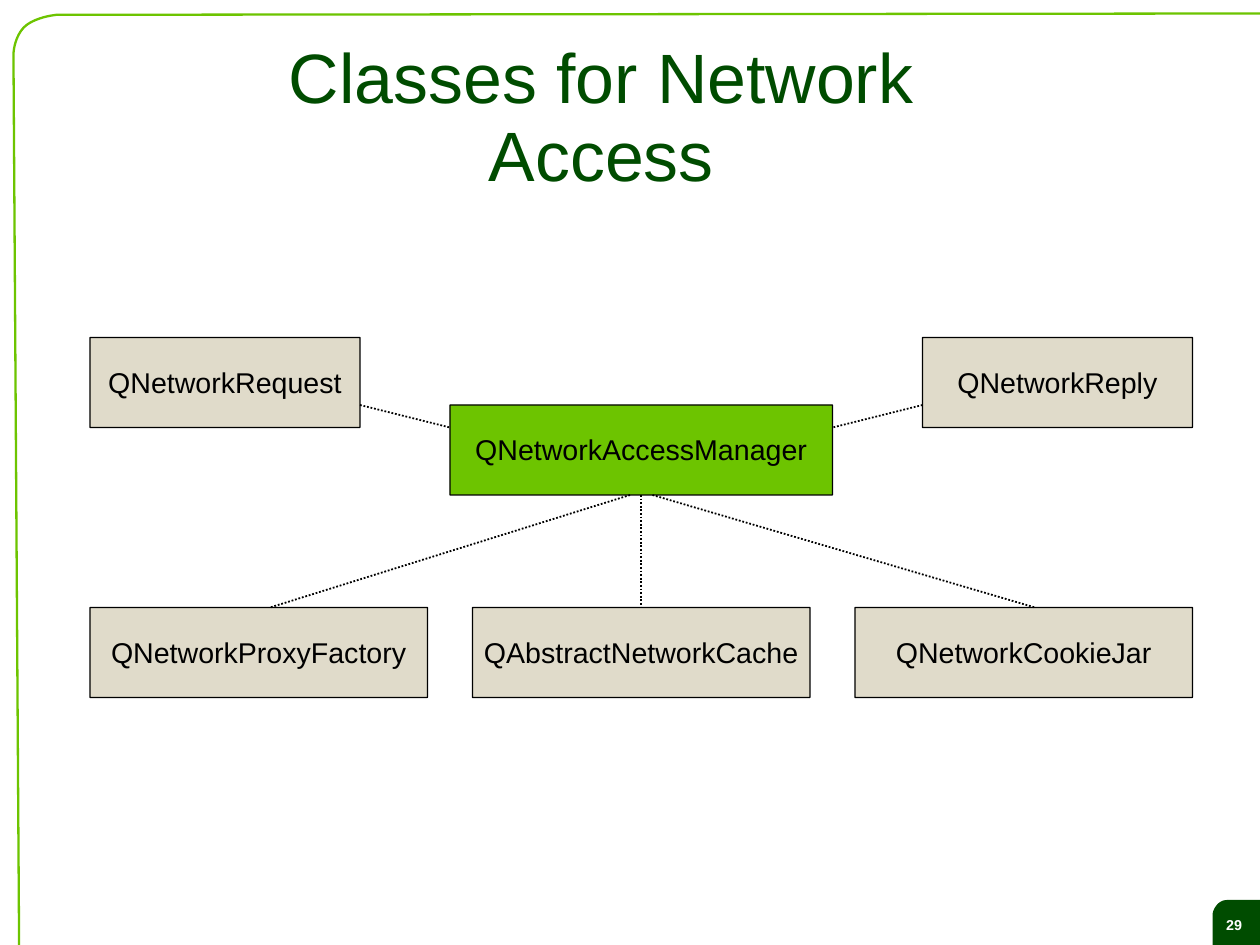
from dataclasses import dataclass

from lxml import etree
from pptx import Presentation
from pptx.dml.color import RGBColor
from pptx.enum.dml import MSO_LINE
from pptx.enum.shapes import MSO_CONNECTOR, MSO_SHAPE
from pptx.enum.text import MSO_ANCHOR, PP_ALIGN
from pptx.oxml.ns import qn
from pptx.util import Cm, Inches, Pt

ROUNDED = MSO_SHAPE.ROUNDED_RECTANGLE
STRAIGHT = MSO_CONNECTOR.STRAIGHT
DOTTED = MSO_LINE.ROUND_DOT
MIDDLE = MSO_ANCHOR.MIDDLE
CENTER = PP_ALIGN.CENTER
TOP, BOTTOM = 0, 2

COLORS = {
    "dark green": "004C00",
    "green": "6DC400",
    "sand": "E0DBCA",
    "black": "000000",
    "white": "FFFFFF",
}

SLIDE_WIDTH, SLIDE_HEIGHT = Cm(28), Cm(21)
COLUMN, ROW = SLIDE_WIDTH / 28, SLIDE_HEIGHT / 21
BOX_ROWS = 2
CURVE_STEPS = 10

Point = tuple[float, float]


@dataclass(frozen=True)
class ClassBox:
    name: str
    column: float
    row: float
    columns: float
    fill: str = "sand"


@dataclass(frozen=True)
class Link:
    start: Point
    end: Point


MANAGER = ClassBox("QNetworkAccessManager", 10, 9, 8.5, "green")
CACHE = ClassBox("QAbstractNetworkCache", 10.5, 13.5, 7.5)
CLASS_BOXES = [
    MANAGER,
    ClassBox("QNetworkReply", 20.5, 7.5, 6),
    ClassBox("QNetworkRequest", 2, 7.5, 6),
    CACHE,
    ClassBox("QNetworkCookieJar", 19, 13.5, 7.5),
    ClassBox("QNetworkProxyFactory", 2, 13.5, 7.5),
]
CACHE_LINK = Link((14.25, 11), (14.25, 13.5))
LINKS = [
    Link((8, 9), (10, 9.5)),
    Link((20.5, 9), (18.5, 9.5)),
    CACHE_LINK,
    Link((14, 11), (6, 13.5)),
    Link((14.5, 11), (23, 13.5)),
]


def at(column: float, row: float) -> tuple[int, int]:
    return round(column * COLUMN), round(row * ROW)


def color(name: str) -> RGBColor:
    return RGBColor.from_string(COLORS[name])


def curve(a: Point, b: Point, c: Point, d: Point) -> list[Point]:
    """Points along a cubic curve from a to d, bent towards b and c."""
    points = []
    for step in range(CURVE_STEPS + 1):
        t = step / CURVE_STEPS
        weights = ((1 - t) ** 3, 3 * t * (1 - t) ** 2, 3 * t * t * (1 - t), t ** 3)
        points.append((
            sum(w * p[0] for w, p in zip(weights, (a, b, c, d))),
            sum(w * p[1] for w, p in zip(weights, (a, b, c, d))),
        ))
    return points


def draw_outline(shapes, points: list[Point]):
    start, *others = [at(*point) for point in points]
    builder = shapes.build_freeform(*start)
    builder.add_line_segments(others, close=True)
    outline = builder.convert_to_shape()
    outline.shadow.inherit = False
    return outline


def write(shape, text: str, size: float, text_color: str,
          insets: tuple[float, float, float, float], bold: bool = False) -> None:
    left, top, right, bottom = (Inches(inset) for inset in insets)
    frame_format = {
        "word_wrap": True, "vertical_anchor": MIDDLE,
        "margin_left": left, "margin_top": top,
        "margin_right": right, "margin_bottom": bottom,
    }
    paragraph = shape.text_frame.paragraphs[0]
    run = paragraph.add_run()
    run.text = text
    run.font.color.rgb = color(text_color)
    for target, values in (
        (shape.text_frame, frame_format),
        (paragraph, {"alignment": CENTER, "line_spacing": 0.93}),
        (run.font, {"name": "Arial", "size": Pt(size), "bold": bold}),
    ):
        for attribute, value in values.items():
            setattr(target, attribute, value)


def draw_class_box(shapes, box: ClassBox):
    shape = shapes.add_shape(ROUNDED, *at(box.column, box.row),
                             *at(box.columns, BOX_ROWS))
    shape.adjustments[0] = 0.002
    shape.shadow.inherit = False
    shape.fill.solid()
    shape.fill.fore_color.rgb = color(box.fill)
    shape.line.color.rgb = color("black")
    shape.line.width = Pt(0.75)
    write(shape, box.name, 18, "black", (0.1, 0.07, 0.1, 0.05))
    return shape


def draw_link(shapes, link: Link):
    connector = shapes.add_connector(STRAIGHT, *at(*link.start), *at(*link.end))
    connector.line.color.rgb = color("black")
    connector.line.width = Pt(1.13)
    connector.line.dash_style = DOTTED
    etree.SubElement(connector._element.spPr, qn("a:effectLst"))
    return connector


def draw_page_frame(shapes) -> None:
    # Page number badge, running past the slide corner
    badge = draw_outline(shapes, [
        (28.1, 20),
        *curve((27.33, 20), (27.23, 20), (27.15, 20), (27.05, 20.1)),
        *curve((27.05, 20.1), (26.95, 20.22), (26.95, 20.3), (26.95, 20.32)),
        (26.95, 21.08), (28.1, 21.08),
    ])
    badge.fill.solid()
    badge.fill.fore_color.rgb = color("dark green")
    badge.line.fill.background()
    page_number = shapes.add_textbox(*at(26.75, 20), *at(1.35, 1.1))
    write(page_number, "29", 9, "white", (0.11, 0.07, 0.11, 0.06), bold=True)

    # Green border, rounded at the top left
    border = draw_outline(shapes, [
        (28.63, 0.3),
        *curve((1.27, 0.33), (1.24, 0.33), (0.76, 0.38), (0.53, 0.61)),
        *curve((0.53, 0.61), (0.3, 0.86), (0.3, 1.22), (0.3, 1.22)),
        (0.43, 21.72), (28.75, 21.77),
    ])
    border.fill.background()
    border.line.color.rgb = color("green")
    border.line.width = Pt(1.45)


def main() -> None:
    deck = Presentation()
    deck.slide_width, deck.slide_height = SLIDE_WIDTH, SLIDE_HEIGHT
    shapes = deck.slides.add_slide(deck.slide_layouts[6]).shapes

    draw_page_frame(shapes)

    # Title
    title = shapes.add_textbox(*at(4.27, 0.84), *at(18.19, 3.5))
    write(title, "Classes for Network Access", 44, "dark green", (0, 0.04, 0, 0))

    # Class diagram
    boxes = {box: draw_class_box(shapes, box) for box in CLASS_BOXES}
    connectors = {link: draw_link(shapes, link) for link in LINKS}
    connectors[CACHE_LINK].begin_connect(boxes[MANAGER], BOTTOM)
    connectors[CACHE_LINK].end_connect(boxes[CACHE], TOP)

    deck.save("out.pptx")


if __name__ == "__main__":
    main()
